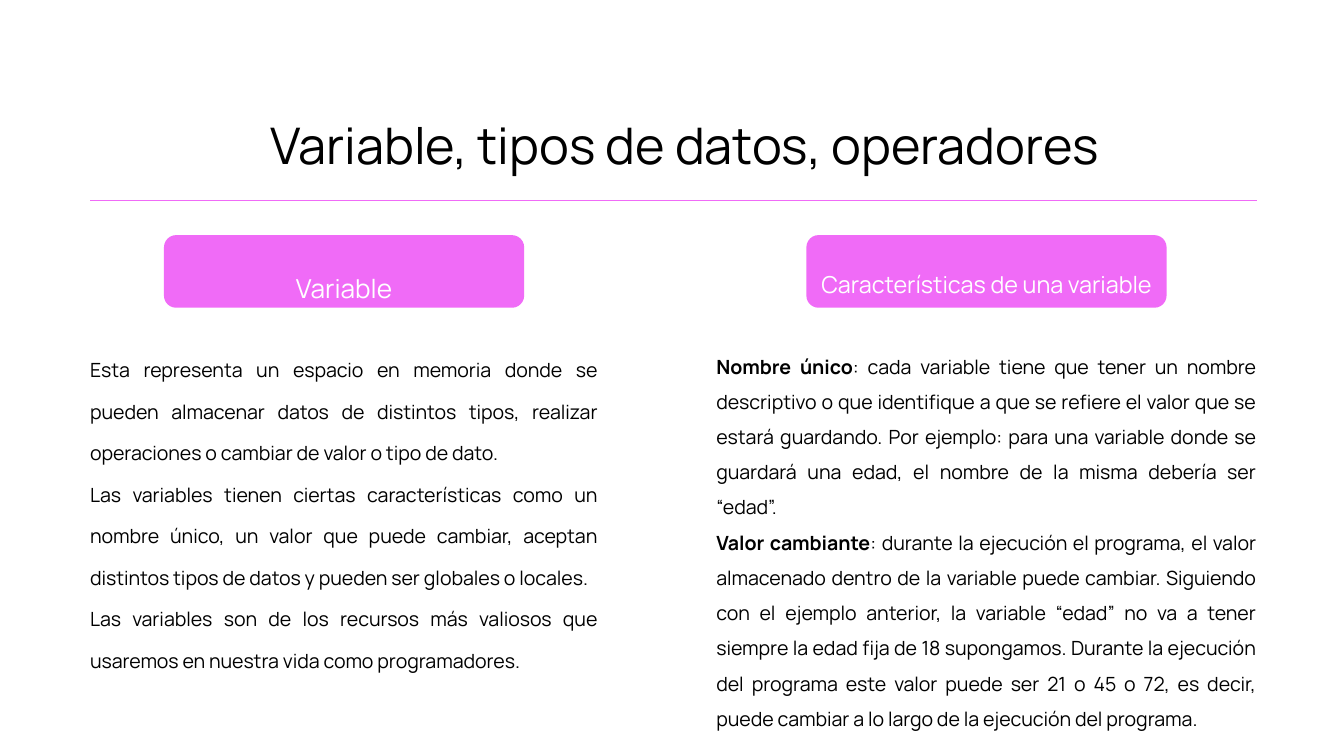
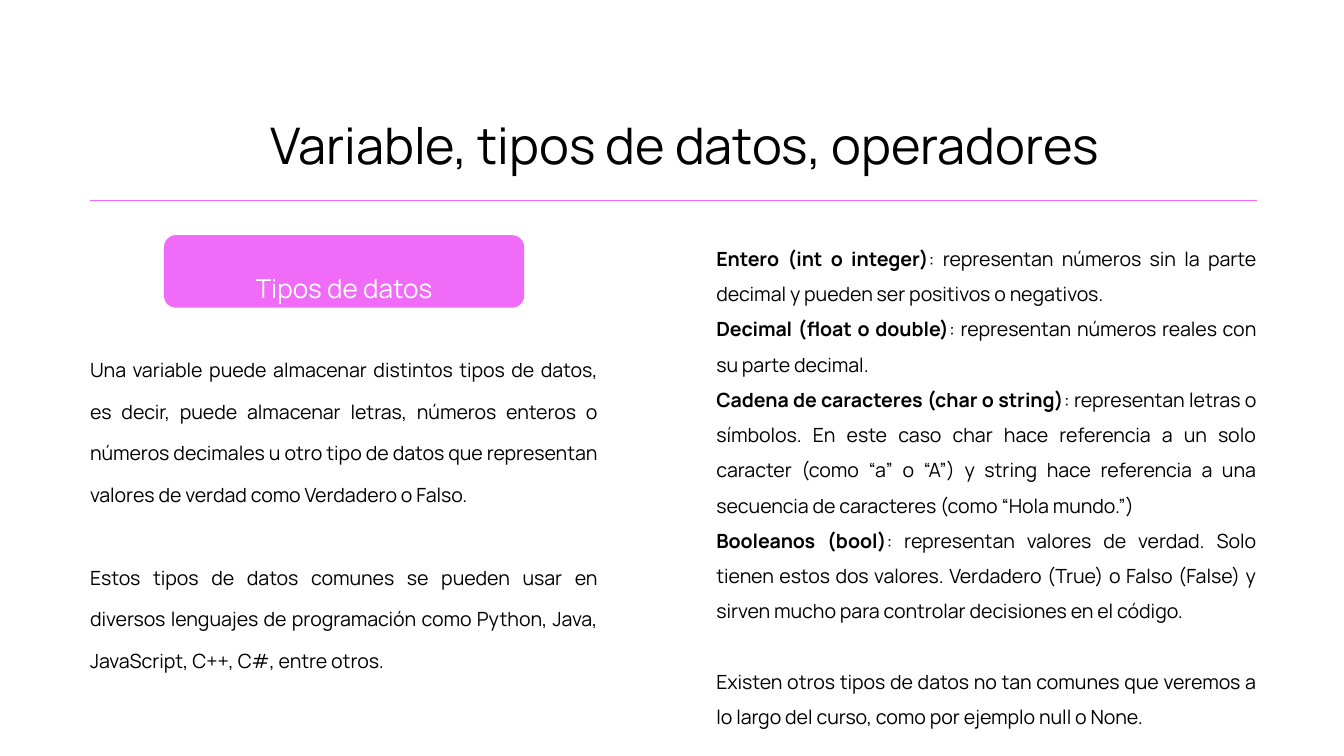
from dataclasses import dataclass

from lxml import etree
from pptx import Presentation
from pptx.dml.color import RGBColor
from pptx.enum.shapes import MSO_CONNECTOR, MSO_SHAPE
from pptx.enum.text import MSO_ANCHOR, MSO_AUTO_SIZE, PP_ALIGN
from pptx.oxml.ns import qn
from pptx.slide import Slide
from pptx.util import Inches, Pt

ROUNDED = MSO_SHAPE.ROUNDED_RECTANGLE
STRAIGHT = MSO_CONNECTOR.STRAIGHT
CENTER, JUSTIFY = PP_ALIGN.CENTER, PP_ALIGN.JUSTIFY
TOP = MSO_ANCHOR.TOP
FIT_SHAPE, NO_FIT = MSO_AUTO_SIZE.SHAPE_TO_FIT_TEXT, MSO_AUTO_SIZE.NONE

PINK = RGBColor(0xF0, 0x6B, 0xF7)
BLACK = RGBColor(0x00, 0x00, 0x00)
WHITE = RGBColor(0xFF, 0xFF, 0xFF)
FONT = "Manrope"
TITLE = "Variable, tipos de datos, operadores"
BODY_SIZE = 10.5

SLIDE_WIDTH = Inches(10)
SLIDE_HEIGHT = SLIDE_WIDTH * 9 // 16


def across(percent: float) -> int:
    return round(SLIDE_WIDTH * percent / 100)


def down(percent: float) -> int:
    return round(SLIDE_HEIGHT * percent / 100)


@dataclass(frozen=True)
class Box:
    """A rectangle in percent of the slide's width and height."""
    left: float
    top: float
    width: float
    height: float

    def lengths(self) -> tuple[int, int, int, int]:
        return across(self.left), down(self.top), across(self.width), down(self.height)


@dataclass(frozen=True)
class Entry:
    """A paragraph with an optional bold lead and a gap above in points."""
    text: str
    lead: str = ""
    gap: float = 0


@dataclass(frozen=True)
class Label:
    text: str
    left: float
    size: float = 14


@dataclass(frozen=True)
class Column:
    box: Box
    line_spacing: float
    entries: list[Entry]


@dataclass(frozen=True)
class Page:
    labels: list[Label]
    columns: list[Column]


MARGIN, RIGHT_EDGE, RULE_TOP = 6.7, 93.5, 26.5
LABEL_TOP, LABEL_WIDTH, LABEL_HEIGHT = 31.11, 26.8, 9.6
LABEL_TEXT_TOP, LABEL_TEXT_HEIGHT = 33.78, 4.27
LEFT_LABEL, RIGHT_LABEL = 12.2, 60
TITLE_BOX = Box(6, 14.76, 89.9, 8)
LEFT_BOX = Box(MARGIN, 45, 37.8, 50.84)
RIGHT_LEFT, RIGHT_WIDTH = 53.3, 40.2
LEFT_SPACING, RIGHT_SPACING = 1.77, 1.5

PAGES = [
    Page(
        [Label("Variable", LEFT_LABEL),
         Label("Características de una variable", RIGHT_LABEL, 12.5)],
        [
            Column(LEFT_BOX, LEFT_SPACING, [
                Entry("Esta representa un espacio en memoria donde se pueden almacenar datos de "
                      "distintos tipos, realizar operaciones o cambiar de valor o tipo de dato."),
                Entry("Las variables tienen ciertas características como un nombre único, un "
                      "valor que puede cambiar, aceptan distintos tipos de datos y pueden ser "
                      "globales o locales."),
                Entry("Las variables son de los recursos más valiosos que usaremos en nuestra "
                      "vida como programadores."),
            ]),
            Column(Box(RIGHT_LEFT, 45.33, RIGHT_WIDTH, 40.53), RIGHT_SPACING, [
                Entry(": cada variable tiene que tener un nombre descriptivo o que identifique "
                      "a que se refiere el valor que se estará guardando. Por ejemplo: para una "
                      "variable donde se guardará una edad, el nombre de la misma debería ser "
                      "“edad”.", "Nombre único"),
                Entry(": durante la ejecución el programa, el valor almacenado dentro de la "
                      "variable puede cambiar. Siguiendo con el ejemplo anterior, la variable "
                      "“edad” no va a tener siempre la edad fija de 18 supongamos. Durante la "
                      "ejecución del programa este valor puede ser 21 o 45 o 72, es decir, puede "
                      "cambiar a lo largo de la ejecución del programa.", "Valor cambiante"),
            ]),
        ],
    ),
    Page(
        [Label("Tipos de datos", LEFT_LABEL)],
        [
            Column(LEFT_BOX, LEFT_SPACING, [
                Entry("Una variable puede almacenar distintos tipos de datos, es decir, puede "
                      "almacenar letras, números enteros o números decimales u otro tipo de "
                      "datos que representan valores de verdad como Verdadero o Falso."),
                Entry("Estos tipos de datos comunes se pueden usar en diversos lenguajes de "
                      "programación como Python, Java, JavaScript, C++, C#, entre otros.",
                      gap=22.2),
            ]),
            Column(Box(RIGHT_LEFT, LABEL_TOP, RIGHT_WIDTH, 63.47), RIGHT_SPACING, [
                Entry(": representan números sin la parte decimal y pueden ser positivos o "
                      "negativos.", "Entero (int o integer)"),
                Entry(": representan números reales con su parte decimal.",
                      "Decimal (float o double)"),
                Entry(": representan letras o símbolos. En este caso char hace referencia a un "
                      "solo caracter (como “a” o “A”) y string hace referencia a una secuencia "
                      "de caracteres (como “Hola mundo.”)", "Cadena de caracteres (char o string)"),
                Entry(": representan valores de verdad. Solo tienen estos dos valores. Verdadero "
                      "(True) o Falso (False) y sirven mucho para controlar decisiones en el "
                      "código.", "Booleanos (bool)"),
                Entry("Existen otros tipos de datos no tan comunes que veremos a lo largo del "
                      "curso, como por ejemplo null o None.", gap=18.9),
            ]),
        ],
    ),
]


def add_text(slide: Slide, box: Box, entries: list[Entry], *, size: float,
             line_spacing: float, color: RGBColor = BLACK,
             align: PP_ALIGN = CENTER, grow: bool = True) -> None:
    frame = slide.shapes.add_textbox(*box.lengths()).text_frame
    frame.word_wrap = True
    frame.auto_size = FIT_SHAPE if grow else NO_FIT
    frame.vertical_anchor = TOP
    frame.margin_left = frame.margin_right = frame.margin_top = frame.margin_bottom = 0
    for index, entry in enumerate(entries):
        paragraph = frame.add_paragraph() if index else frame.paragraphs[0]
        paragraph.alignment = align
        paragraph.line_spacing = line_spacing
        paragraph.space_before = Pt(entry.gap)
        for text, bold in ((entry.lead, True), (entry.text, False)):
            if text:
                run = paragraph.add_run()
                run.text = text
                run.font.name = FONT
                run.font.size = Pt(size)
                run.font.bold = bold
                run.font.color.rgb = color


def add_label(slide: Slide, label: Label) -> None:
    box = Box(label.left, LABEL_TOP, LABEL_WIDTH, LABEL_HEIGHT)
    shape = slide.shapes.add_shape(ROUNDED, *box.lengths())
    shape.shadow.inherit = False
    shape.fill.solid()
    shape.fill.fore_color.rgb = PINK
    shape.line.fill.background()
    text_box = Box(label.left, LABEL_TEXT_TOP, LABEL_WIDTH, LABEL_TEXT_HEIGHT)
    add_text(slide, text_box, [Entry(label.text)], size=label.size,
             line_spacing=1.55, color=WHITE)


def add_header(slide: Slide) -> None:
    add_text(slide, TITLE_BOX, [Entry(TITLE)], size=27, line_spacing=1.04)
    rule = slide.shapes.add_connector(STRAIGHT, across(MARGIN), down(RULE_TOP),
                                      across(RIGHT_EDGE), down(RULE_TOP))
    rule.line.color.rgb = PINK
    rule.line.width = Pt(0.75)
    etree.SubElement(rule.element.spPr, qn("a:effectLst"))


def main() -> None:
    presentation = Presentation()
    presentation.slide_width = SLIDE_WIDTH
    presentation.slide_height = SLIDE_HEIGHT
    blank_layout = presentation.slide_layouts[6]
    for page in PAGES:
        slide = presentation.slides.add_slide(blank_layout)
        add_header(slide)
        for label in page.labels:
            add_label(slide, label)
        for column in page.columns:
            add_text(slide, column.box, column.entries, size=BODY_SIZE,
                     line_spacing=column.line_spacing, align=JUSTIFY, grow=False)
    presentation.save("out.pptx")


if __name__ == "__main__":
    main()
